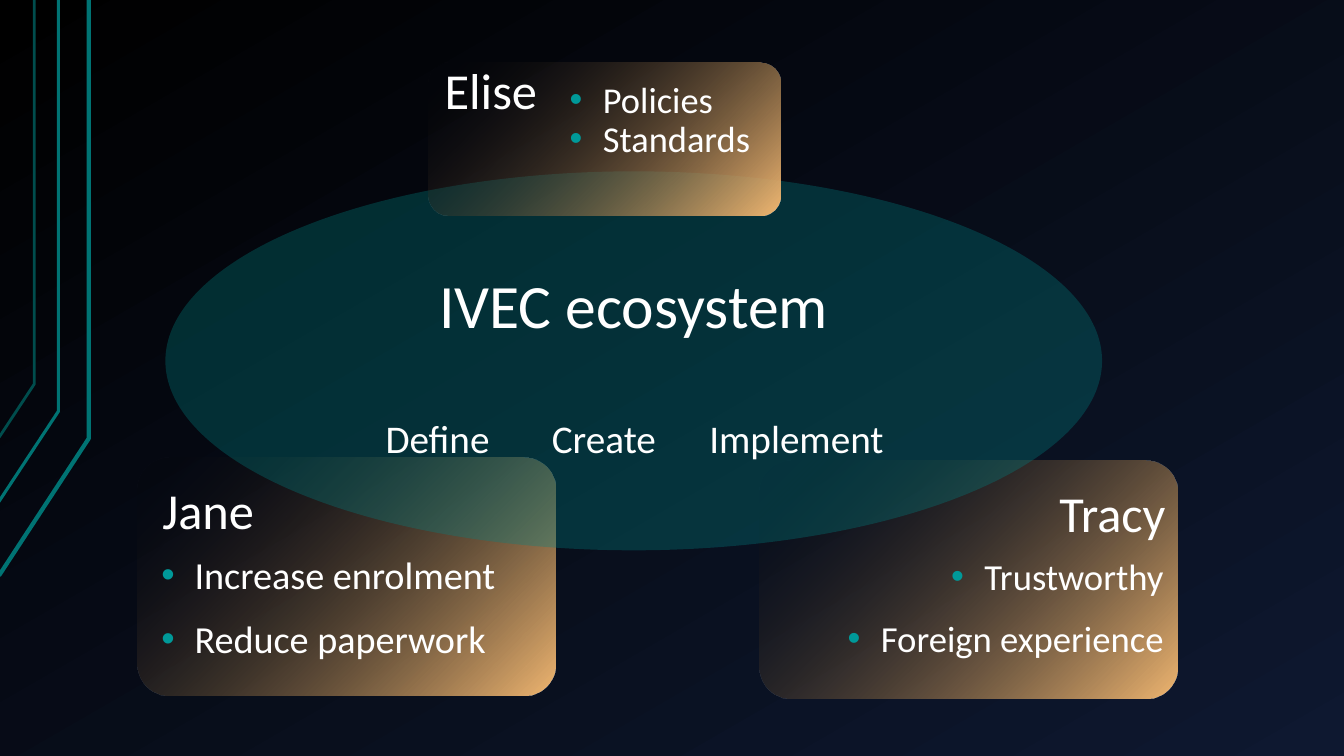
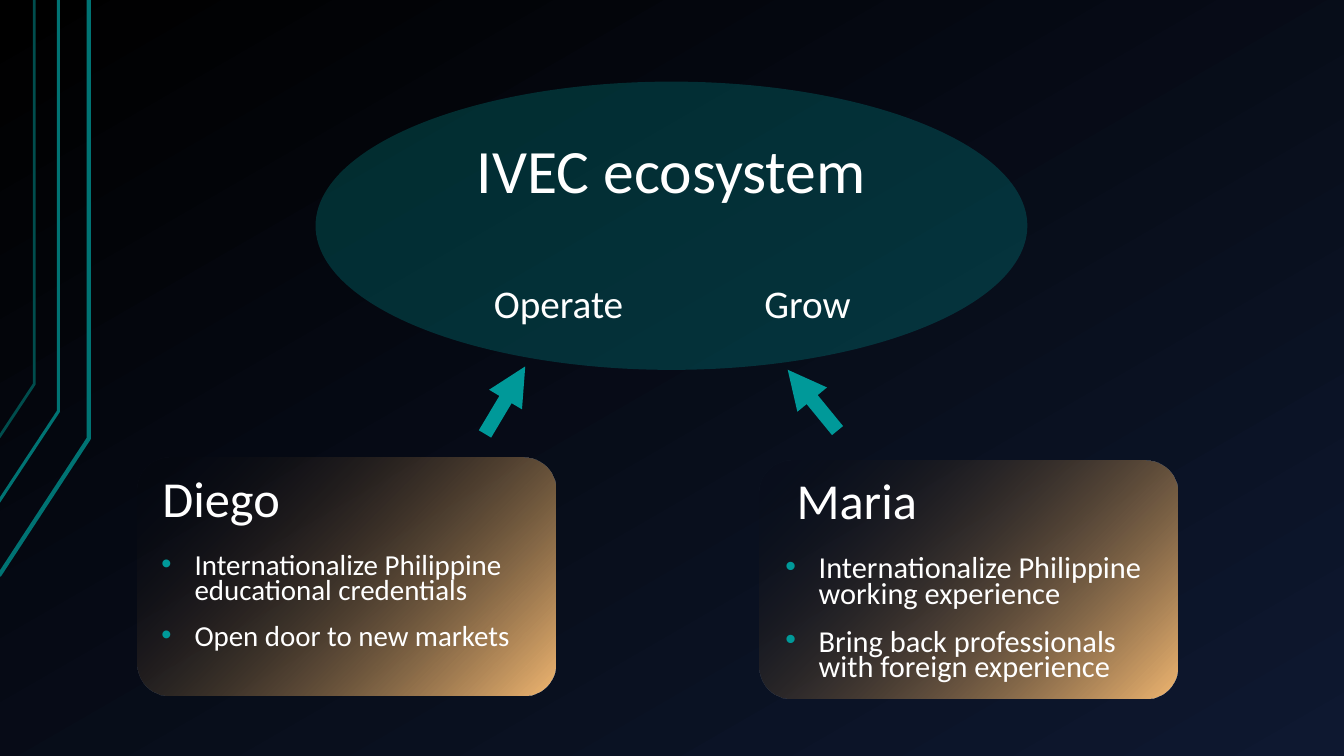
from lxml.etree import SubElement
from pptx import Presentation
from pptx.dml.color import RGBColor
from pptx.enum.shapes import MSO_SHAPE
from pptx.enum.text import MSO_ANCHOR, PP_ALIGN
from pptx.oxml.ns import qn
from pptx.util import Inches, Pt

COLORS = {
    "night": "000000", "navy": "0E1830", "line": "007373", "dim_line": "004D4D",
    "card_dark": "020409", "card_gold": "F2B872", "ellipse": "008383",
    "accent": "009999", "text": "FFFFFF",
}
FONT = "Calibri"
LEFT, RIGHT, MIDDLE = PP_ALIGN.LEFT, PP_ALIGN.RIGHT, PP_ALIGN.CENTER

# Circuit lines at the left edge: points, colour, width
CIRCUIT_LINES = [
    ([(-0.01, 5.71), (0.88, 4.35), (0.88, 0)], "line", 3),
    ([(-0.02, 4.99), (0.58, 4.08), (0.58, 0)], "line", 2.25),
    ([(-0.01, 4.34), (0.34, 3.81), (0.34, 0)], "dim_line", 2),
]

LEFT_CARD = (1.36, 4.54, 4.15, 2.36)
RIGHT_CARD = (7.53, 4.57, 4.15, 2.36)
TOP_CARD = (4.25, 0.62, 3.49, 1.52)
CARD_DEFAULTS = {"align": LEFT, "line_spacing": 0.9, "gap": 16}

# Cards behind the ellipse, the ellipse with its (word, centre, width) row,
# cards in front of it, and arrows as (left, top, rotation)
SLIDES = [
    {
        "back_cards": [
            {"box": LEFT_CARD, "name": "Jane", "name_box": (1.48, 4.09, 3.91, 1.34),
             "points": ["Increase enrolment", "Reduce paperwork"],
             "points_box": (1.47, 5.45, 3.91, 1.45), "size": 27.3},
            {"box": RIGHT_CARD, "name": "Tracy", "name_box": (7.77, 4.12, 3.92, 1.34),
             "points": ["Trustworthy", "Foreign experience"],
             "points_box": (7.75, 5.47, 3.92, 1.45), "size": 26.2, "align": RIGHT},
        ],
        "ellipse": (1.64, 1.7, 9.29, 3.76),
        "words": [("Define", 4.34, 1.3), ("Create", 5.99, 1.3), ("Implement", 7.9, 2)],
        "front_cards": [
            {"box": TOP_CARD, "name": "Elise", "name_box": (4.28, 0.22, 1.96, 1.04),
             "points": ["Policies", "Standards"],
             "points_box": (5.52, 0.74, 2.56, 1.04), "size": 26, "gap": 0},
        ],
        "arrows": [],
    },
    {
        "back_cards": [
            {"box": LEFT_CARD, "name": "Diego", "name_box": (1.48, 3.97, 3.91, 1.34),
             "points": ["Internationalize Philippine educational credentials",
                        "Open door to new markets"],
             "points_box": (1.47, 5.45, 3.91, 1.24), "size": 20.7, "line_spacing": 0.7},
            {"box": RIGHT_CARD, "name": "Maria", "name_box": (7.77, 4.45, 3.92, 0.88),
             "points": ["Internationalize Philippine working experience",
                        "Bring back professionals with foreign experience"],
             "points_box": (7.66, 5.47, 4.01, 1.45), "size": 21.7, "line_spacing": 0.7},
        ],
        "ellipse": (3.13, 0.81, 7.06, 2.86),
        "words": [("Operate", 5.54, 1.6), ("Grow", 8.01, 1.6)],
        "front_cards": [],
        "arrows": [(4.62, 3.78, 300.8), (7.67, 3.78, 230.7)],
    },
]


def color(name):
    return RGBColor.from_string(COLORS[name])


def set_gradient(fill, start, end, clockwise_angle):
    fill.gradient()
    fill.gradient_angle = 360 - clockwise_angle
    for stop, name, position in zip(fill.gradient_stops, (start, end), (0, 1)):
        stop.color.rgb = color(name)
        stop.position = position


def set_alpha(shape, percent):
    """Set the opacity of the first colour in the fill."""
    first_color = shape.element.spPr.xpath(".//a:srgbClr")[0]
    SubElement(first_color, qn("a:alpha")).set("val", str(percent * 1000))


def add_plain_shape(slide, kind, box):
    shape = slide.shapes.add_shape(kind, *map(Inches, box))
    shape.shadow.inherit = False
    shape.line.fill.background()
    return shape


def set_text(shape, lines, size, align=LEFT, anchor=MSO_ANCHOR.TOP,
             insets=(0.13, 0.07, 0.13, 0.07), line_spacing=1.0, gap=0, bullets=False):
    frame = shape.text_frame
    left, top, right, bottom = map(Inches, insets)
    frame_format = {"word_wrap": True, "vertical_anchor": anchor, "margin_left": left,
                    "margin_top": top, "margin_right": right, "margin_bottom": bottom}
    for attribute, value in frame_format.items():
        setattr(frame, attribute, value)
    frame.text = "\n".join(lines)
    paragraph_format = {"alignment": align, "line_spacing": line_spacing,
                        "space_before": Pt(gap)}
    for paragraph in frame.paragraphs:
        for attribute, value in paragraph_format.items():
            setattr(paragraph, attribute, value)
        font = paragraph.runs[0].font
        font.name, font.size, font.color.rgb = FONT, Pt(size), color("text")
        if bullets:
            add_bullet(paragraph)


def add_bullet(paragraph):
    properties = paragraph._p.get_or_add_pPr()
    properties.set("marL", str(Inches(0.33)))
    properties.set("indent", str(-Inches(0.33)))
    bullet_color = SubElement(properties, qn("a:buClr"))
    SubElement(bullet_color, qn("a:srgbClr")).set("val", COLORS["accent"])
    SubElement(properties, qn("a:buFont")).set("typeface", "Arial")
    SubElement(properties, qn("a:buChar")).set("char", "•")


def add_text(slide, box, lines, size, **text_format):
    text_box = slide.shapes.add_textbox(*map(Inches, box))
    set_text(text_box, lines, size, **text_format)


def add_card(slide, card):
    card = CARD_DEFAULTS | card
    shape = add_plain_shape(slide, MSO_SHAPE.ROUNDED_RECTANGLE, card["box"])
    shape.adjustments[0] = 0.134
    set_gradient(shape.fill, "card_dark", "card_gold", 45)
    set_alpha(shape, 0)
    add_text(slide, card["name_box"], [card["name"]], 36, align=card["align"],
             anchor=MSO_ANCHOR.BOTTOM, line_spacing=0.9)
    add_text(slide, card["points_box"], card["points"], card["size"],
             align=card["align"], line_spacing=card["line_spacing"],
             gap=card["gap"], bullets=True)


def add_ecosystem(slide, box, words):
    ellipse = add_plain_shape(slide, MSO_SHAPE.OVAL, box)
    ellipse.fill.solid()
    ellipse.fill.fore_color.rgb = color("ellipse")
    set_alpha(ellipse, 32)
    # The deep bottom inset lifts the title above the row of words
    set_text(ellipse, ["IVEC ecosystem"], 44, align=MIDDLE,
             anchor=MSO_ANCHOR.MIDDLE, insets=(0.1, 0.05, 0.1, 1.17))
    words_top = box[1] + box[3] / 2 + 0.49
    for word, center, width in words:
        add_text(slide, (center - width / 2, words_top, width, 0.54), [word], 28,
                 align=MIDDLE, anchor=MSO_ANCHOR.MIDDLE, insets=(0, 0, 0, 0))


def add_arrow(slide, left, top, rotation):
    arrow = add_plain_shape(slide, MSO_SHAPE.RIGHT_ARROW, (left, top, 0.78, 0.38))
    arrow.fill.solid()
    arrow.fill.fore_color.rgb = color("accent")
    arrow.adjustments[0], arrow.adjustments[1] = 0.374, 1.007
    arrow.rotation = rotation


def decorate_master(master, slide):
    """Give the master its background and lines, drawn by way of a slide."""
    set_gradient(master.background.fill, "night", "navy", 60)
    for points, line_color, width in CIRCUIT_LINES:
        start, *others = [(Inches(x), Inches(y)) for x, y in points]
        builder = slide.shapes.build_freeform(*start)
        builder.add_line_segments(others, close=False)
        line = builder.convert_to_shape()
        line.shadow.inherit = False
        line.fill.background()
        line.line.color.rgb = color(line_color)
        line.line.width = Pt(width)
        master.shapes.element.append(line.element)


def main():
    presentation = Presentation()
    presentation.slide_width, presentation.slide_height = Inches(13.33), Inches(7.5)
    blank = presentation.slide_layouts[6]
    for number, content in enumerate(SLIDES):
        slide = presentation.slides.add_slide(blank)
        if number == 0:
            decorate_master(presentation.slide_master, slide)
        for card in content["back_cards"]:
            add_card(slide, card)
        add_ecosystem(slide, content["ellipse"], content["words"])
        for card in content["front_cards"]:
            add_card(slide, card)
        for arrow in content["arrows"]:
            add_arrow(slide, *arrow)
    presentation.save("out.pptx")


if __name__ == "__main__":
    main()
